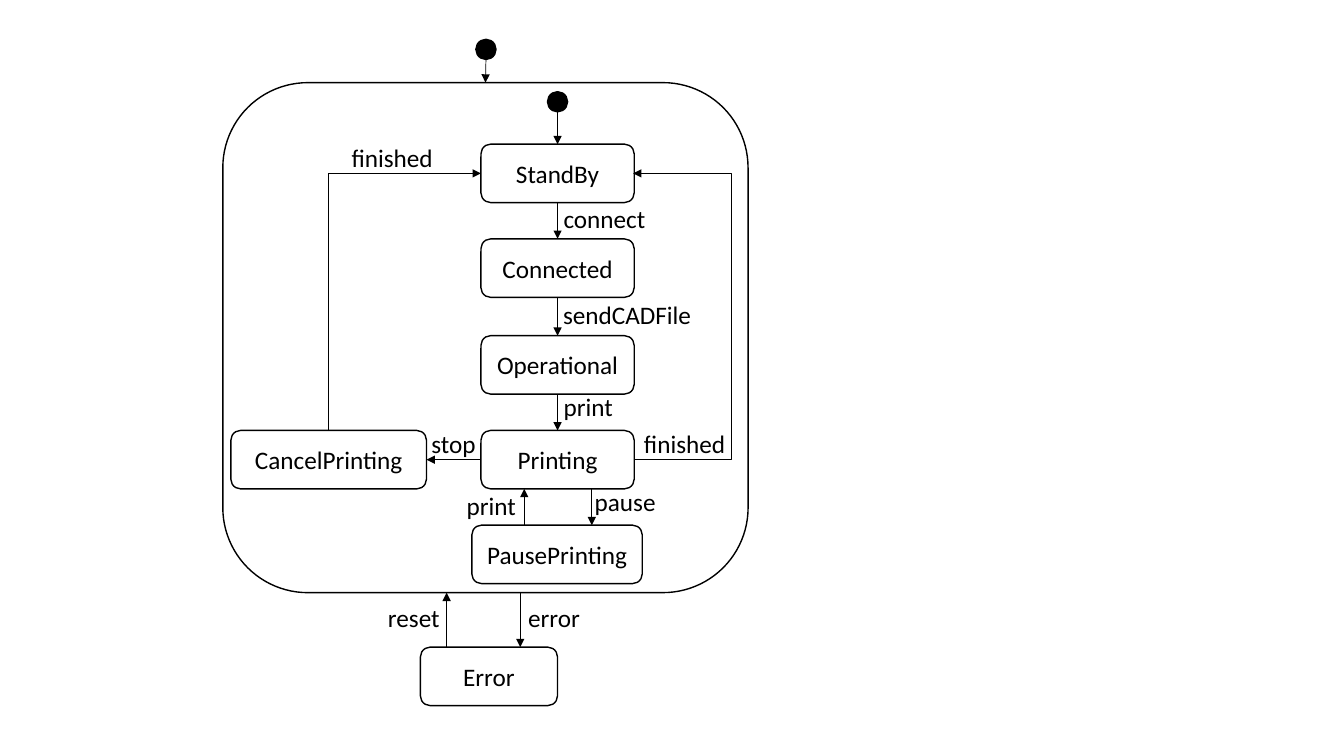
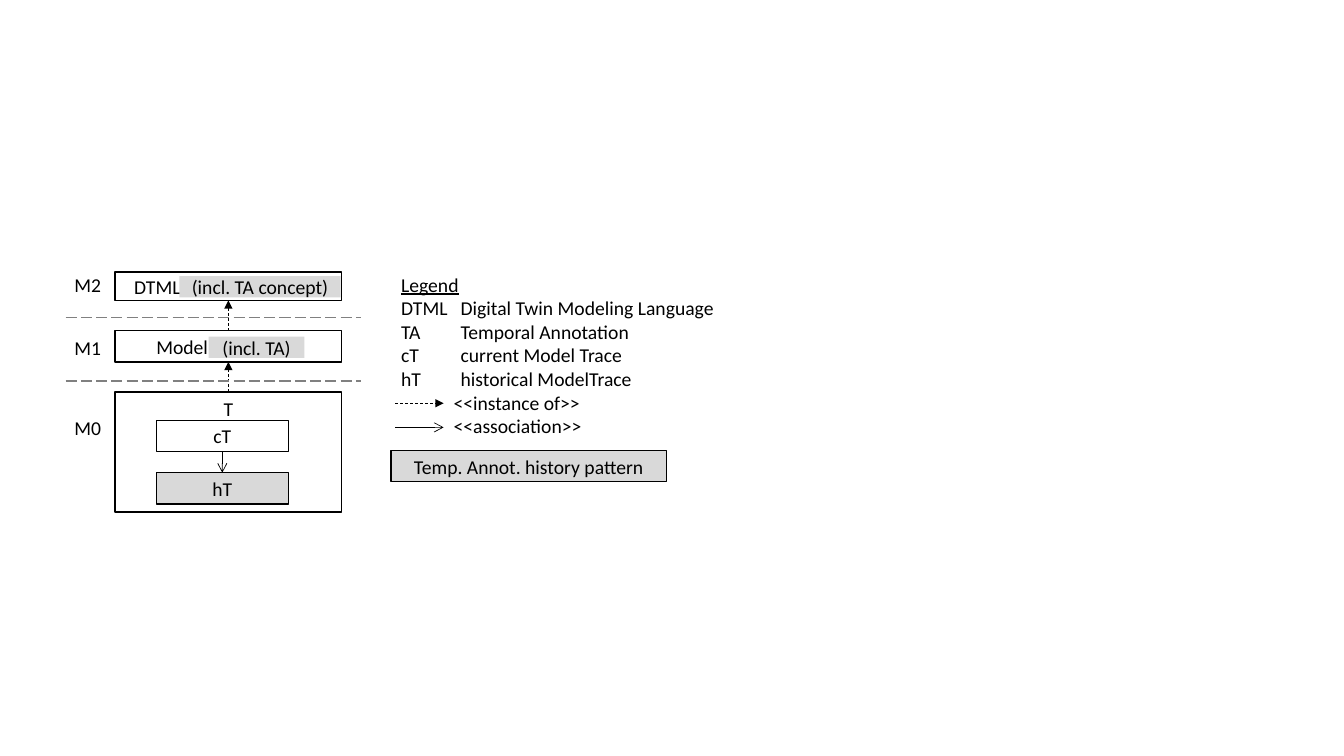
from lxml import etree
from pptx import Presentation
from pptx.dml.color import RGBColor
from pptx.enum.dml import MSO_LINE
from pptx.enum.shapes import MSO_CONNECTOR, MSO_SHAPE
from pptx.enum.text import MSO_ANCHOR, MSO_AUTO_SIZE, PP_ALIGN
from pptx.oxml.ns import qn
from pptx.util import Inches, Pt

RECT = MSO_SHAPE.RECTANGLE
ROUND = MSO_SHAPE.ROUNDED_RECTANGLE
OVAL = MSO_SHAPE.OVAL
STRAIGHT = MSO_CONNECTOR.STRAIGHT
ELBOW = MSO_CONNECTOR.ELBOW
DASH = MSO_LINE.DASH
LONG_DASH = MSO_LINE.LONG_DASH
LEFT = PP_ALIGN.LEFT
CENTER = PP_ALIGN.CENTER
TOP_ANCHOR = MSO_ANCHOR.TOP
MIDDLE = MSO_ANCHOR.MIDDLE
GROW = MSO_AUTO_SIZE.SHAPE_TO_FIT_TEXT
TOP, WEST, BOTTOM, EAST = range(4)

BLACK, WHITE, GRAY, LIGHT = "000000", "FFFFFF", "808080", "D9D9D9"
FONT = "Calibri"
STATE_SIZE = 18
MODEL_SIZE = 14


def rgb(color):
    return RGBColor.from_string(color)


def apply(obj, fmt):
    for name, value in fmt.items():
        setattr(obj, name, value)


def write(p, text, size, align, underline=False):
    p.alignment = align
    r = p.add_run()
    r.text = text
    apply(r.font, {"name": FONT, "size": Pt(size), "underline": underline})
    r.font.color.rgb = rgb(BLACK)


def add_box(s, kind, at, text="", size=STATE_SIZE, fill=None, line=BLACK,
            align=CENTER, **frame):
    sp = s.shapes.add_shape(kind, *map(Inches, at))
    sp.shadow.inherit = False
    if fill:
        sp.fill.solid()
        sp.fill.fore_color.rgb = rgb(fill)
    else:
        sp.fill.background()
    if line:
        sp.line.color.rgb = rgb(line)
        sp.line.width = Pt(1)
    else:
        sp.line.fill.background()
    if text:
        tf = sp.text_frame
        apply(tf, {"word_wrap": True, "vertical_anchor": MIDDLE, **frame})
        write(tf.paragraphs[0], text, size, align)
    return sp


def add_state(s, text, left, top, width):
    return add_box(s, ROUND, (left, top, width, 0.58), text)


def add_label(s, text, at, size=STATE_SIZE, align=LEFT, wrap=True):
    tf = s.shapes.add_textbox(*map(Inches, at)).text_frame
    apply(tf, {"word_wrap": wrap, "auto_size": GROW})
    write(tf.paragraphs[0], text, size, align)


def add_line(s, start, end, kind=STRAIGHT, color=BLACK, width=0.5, dash=None,
             head=None, tail="triangle"):
    c = s.shapes.add_connector(kind, *map(Inches, (*start, *end)))
    c.line.color.rgb = rgb(color)
    apply(c.line, {"width": Pt(width), "dash_style": dash})
    ln = c.line._get_or_add_ln()
    for tag, arrow in (("a:headEnd", head), ("a:tailEnd", tail)):
        if arrow:
            etree.SubElement(ln, qn(tag)).set("type", arrow)
    etree.SubElement(c._element.spPr, qn("a:effectLst"))
    return c


def join(s, first, side, second, other_side, **style):
    c = add_line(s, (0, 0), (1, 1), **style)
    c.begin_connect(first, side)
    c.end_connect(second, other_side)


def add_start(s, left, top, target_top, target=None):
    add_box(s, OVAL, (left, top, 0.2, 0.2), fill=BLACK)
    x = left + 0.1
    c = add_line(s, (x, top + 0.2), (x, target_top))
    if target is not None:
        c.end_connect(target, TOP)


def add_return_lines(s):
    corner = add_line(s, (4.77, 1.72), (3.26, 4.27), ELBOW,
                      head="triangle", tail=None)
    corner._element.spPr.find(qn("a:prstGeom")).set("prst", "bentConnector2")

    start, end, bend = 6.29, 6.28, 7.27
    loop = add_line(s, (start, 4.56), (end, 1.72), ELBOW)
    ratio = (start - bend) / (start - end)
    geom = loop._element.spPr.find(qn("a:prstGeom"))
    adjustments = geom.find(qn("a:avLst"))
    if adjustments is None:
        adjustments = etree.SubElement(geom, qn("a:avLst"))
    guide = etree.SubElement(adjustments, qn("a:gd"))
    guide.set("name", "adj1")
    guide.set("fmla", f"val {round(ratio * 100000)}")


def build_states(s):
    frame = add_box(s, ROUND, (2.21, 0.82, 5.21, 5.06))
    column = [add_state(s, text, 4.77, top, 1.52) for text, top in (
        ("StandBy", 1.43), ("Connected", 2.37),
        ("Operational", 3.33), ("Printing", 4.27))]
    standby, printing = column[0], column[-1]
    cancel = add_state(s, "CancelPrinting", 2.29, 4.27, 1.94)
    add_state(s, "PausePrinting", 4.68, 5.21, 1.69)
    add_state(s, "Error", 4.17, 6.42, 1.36)

    add_start(s, 4.72, 0.39, 0.82, frame)
    add_start(s, 5.43, 0.91, 1.43, standby)
    for upper, lower in zip(column, column[1:]):
        join(s, upper, BOTTOM, lower, TOP)
    join(s, printing, WEST, cancel, EAST)
    for x, y1, y2 in ((5.87, 4.85, 5.21), (5.2, 5.21, 4.85),
                      (5.16, 5.88, 6.42), (4.43, 6.42, 5.88)):
        add_line(s, (x, y1), (x, y2))
    add_return_lines(s)

    for text, left, top, width, align, wrap in (
            ("connect", 5.47, 1.97, 1.05, CENTER, True),
            ("sendCADFile", 5.47, 2.92, 1.5, CENTER, True),
            ("print", 5.45, 3.83, 0.77, CENTER, True),
            ("finished", 6.18, 4.2, 1.22, CENTER, True),
            ("finished", 3.31, 1.36, 1.16, CENTER, True),
            ("stop", 4.18, 4.2, 0.65, LEFT, False),
            ("pause", 5.8, 4.78, 0.81, LEFT, False),
            ("print", 4.53, 4.82, 0.7, LEFT, False),
            ("reset", 3.75, 5.93, 1.1, LEFT, True),
            ("error", 5.14, 5.93, 0.72, LEFT, True)):
        add_label(s, text, (left, top, width, 0.4), align=align, wrap=wrap)


def add_legend(s):
    tf = s.shapes.add_textbox(*map(Inches, (3.88, 2.76, 3.41, 1.06))).text_frame
    apply(tf, {"word_wrap": True, "vertical_anchor": MIDDLE})
    for i, text in enumerate((
            "Legend", "DTML\tDigital Twin Modeling Language",
            "TA\tTemporal Annotation", "cT\tcurrent Model Trace",
            "hT\thistorical ModelTrace")):
        p = tf.add_paragraph() if i else tf.paragraphs[0]
        write(p, text, MODEL_SIZE, LEFT, underline=i == 0)
        tabs = etree.SubElement(p._p.get_or_add_pPr(), qn("a:tabLst"))
        tab = etree.SubElement(tabs, qn("a:tab"))
        tab.set("pos", str(Inches(0.59)))
        tab.set("algn", "l")

    for text, top, width, y, style in (
            ("<<instance of>>", 3.83, 1.47, 4, {"dash": DASH}),
            ("<<association>>", 4.06, 1.49, 4.24, {"tail": "arrow"})):
        add_line(s, (3.92, y), (4.4, y), **style)
        add_label(s, text, (4.4, top, width, 0.34), MODEL_SIZE, wrap=False)
    add_box(s, RECT, (3.88, 4.47, 2.73, 0.31),
            "Temp. Annot. history pattern", MODEL_SIZE, LIGHT)


def build_levels(s):
    language = add_box(s, RECT, (1.14, 2.7, 2.25, 0.28), "DTML", MODEL_SIZE,
                       WHITE, align=LEFT, margin_left=Inches(0.19))
    model = add_box(s, RECT, (1.14, 3.28, 2.25, 0.31), "Model", MODEL_SIZE,
                    WHITE, align=LEFT, margin_left=Inches(0.41))
    trace = add_box(s, RECT, (1.14, 3.89, 2.25, 1.19), "T", MODEL_SIZE,
                    vertical_anchor=TOP_ANCHOR)
    current, history = [
        add_box(s, RECT, (1.55, top, 1.31, 0.31), text, MODEL_SIZE, fill)
        for text, top, fill in (("cT", 4.17, WHITE), ("hT", 4.69, LIGHT))]

    join(s, trace, TOP, model, BOTTOM, dash=DASH)
    join(s, model, TOP, language, BOTTOM, dash=DASH)
    join(s, current, BOTTOM, history, TOP, tail="arrow")
    for y in (3.15, 3.78):
        add_line(s, (0.65, y), (3.58, y), color=GRAY, width=1,
                 dash=LONG_DASH, tail=None)
    for text, top in (("M2", 2.66), ("M1", 3.28), ("M0", 4.08)):
        add_label(s, text, (0.64, top, 0.53, 0.34), MODEL_SIZE)
    for text, left, top, width in (("(incl. TA concept)", 1.78, 2.74, 1.6),
                                   ("(incl. TA)", 2.07, 3.34, 0.95)):
        add_box(s, RECT, (left, top, width, 0.21), text, MODEL_SIZE,
                LIGHT, line=None)
    add_legend(s)


def main():
    prs = Presentation()
    apply(prs, {"slide_width": Inches(13.33), "slide_height": Inches(7.5)})
    for build in (build_states, build_levels):
        build(prs.slides.add_slide(prs.slide_layouts[6]))
    prs.save("out.pptx")


if __name__ == "__main__":
    main()
